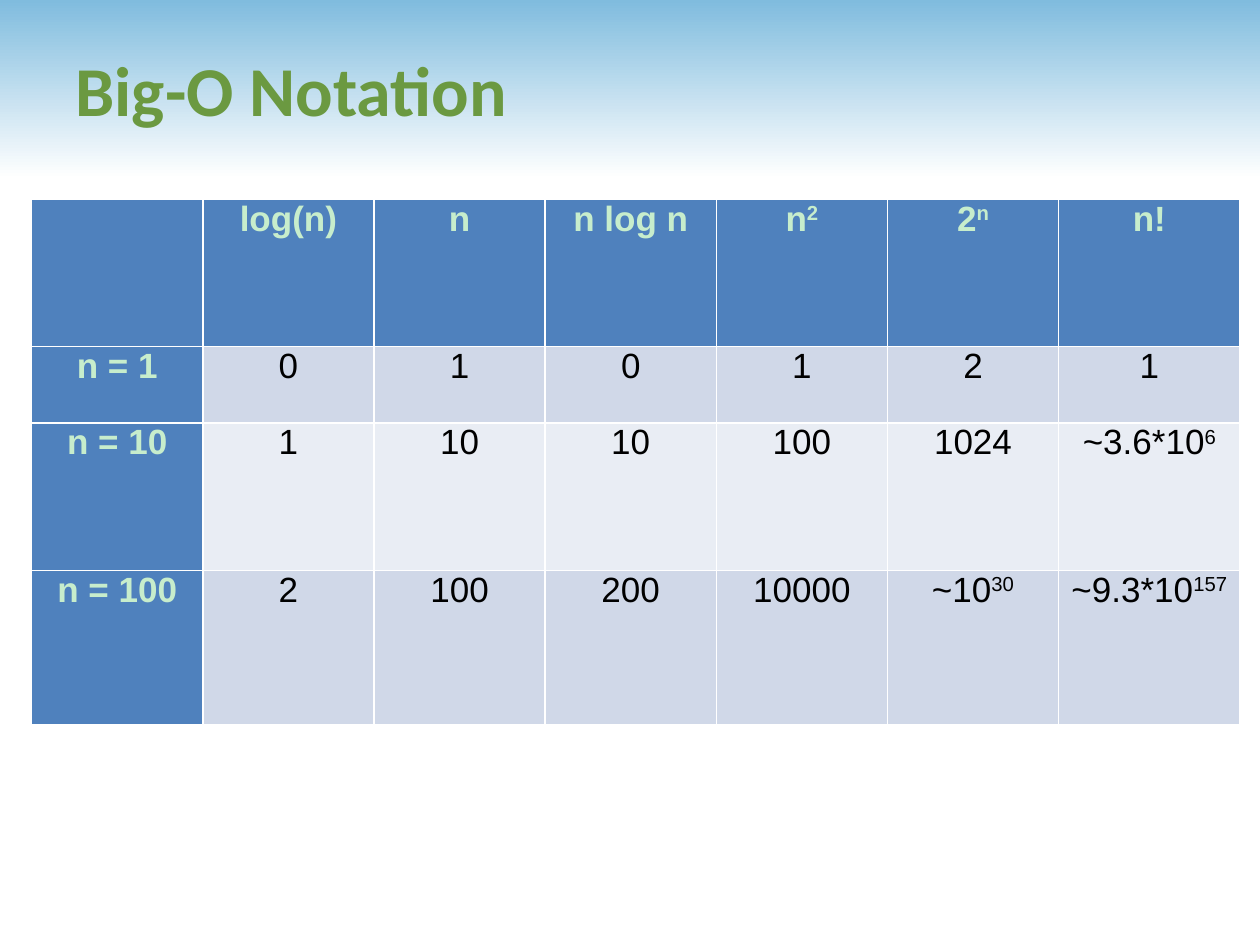
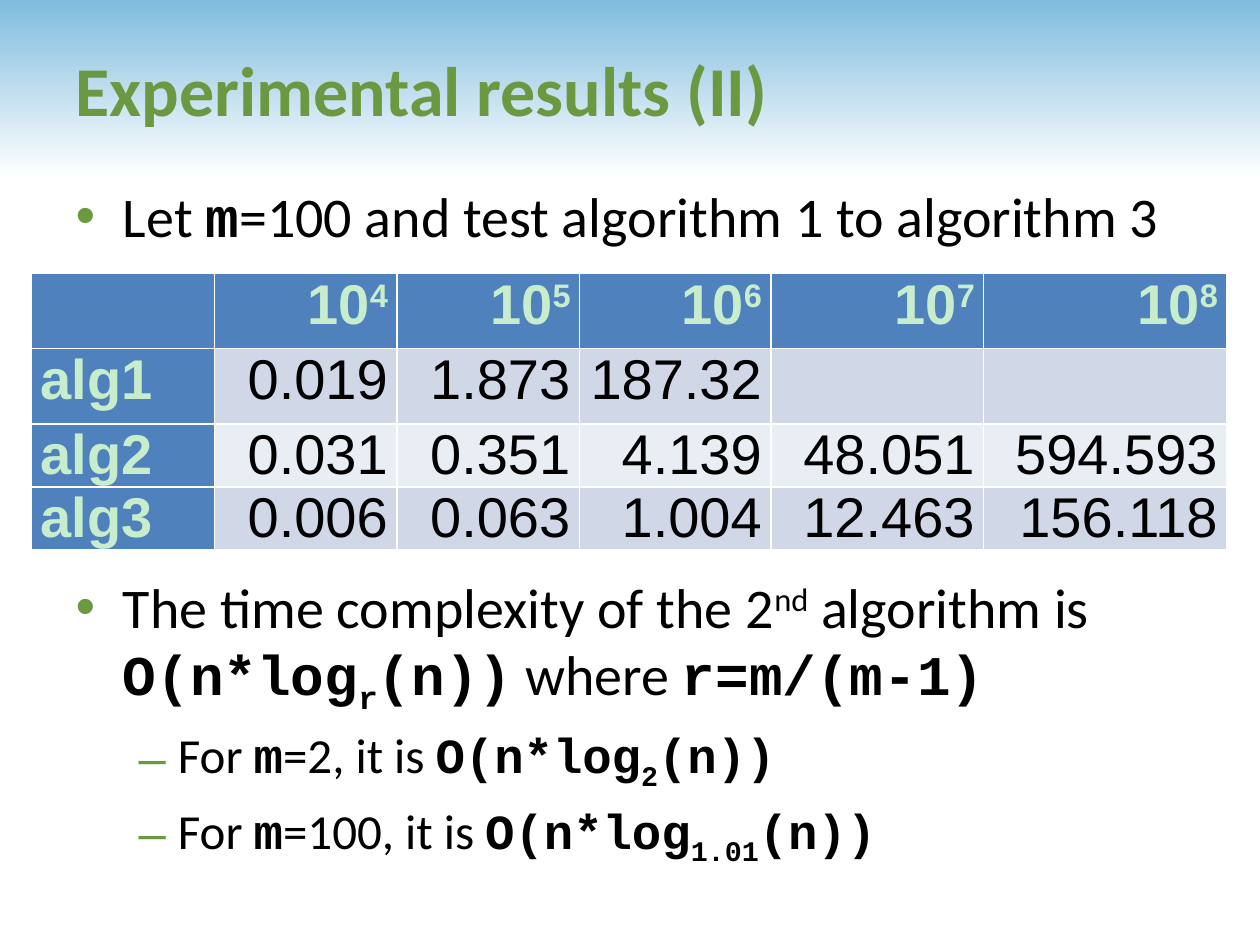
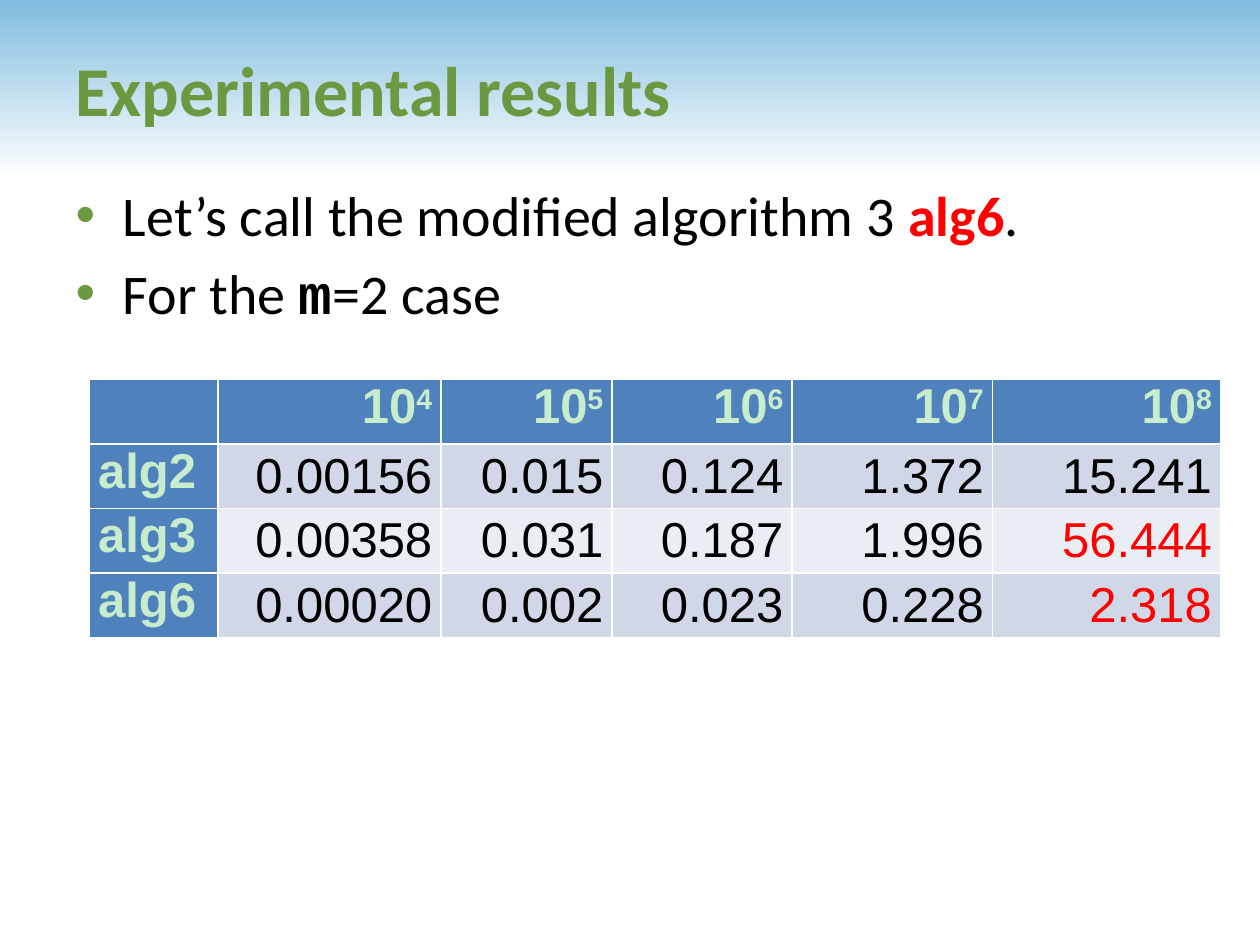
import dataclasses

import lxml.etree
import pptx
import pptx.dml.color
import pptx.enum.shapes
import pptx.enum.text
import pptx.oxml.ns
import pptx.util

Cm, Pt = pptx.util.Cm, pptx.util.Pt
RGB = pptx.dml.color.RGBColor.from_string
Align, Anchor = pptx.enum.text.PP_ALIGN, pptx.enum.text.MSO_ANCHOR


@dataclasses.dataclass(frozen=True)
class Theme:
    green: str = "6B9941"
    black: str = "000000"
    red: str = "FF0000"
    band_top: str = "80BCDE"
    band_bottom: str = "FFFFFF"
    header_fill: str = "4F81BD"
    header_text: str = "C7EDCC"
    row_fills: tuple = ("E9EDF4", "D0D8E8")
    text_font: str = "Calibri"
    table_font: str = "Arial"
    code_font: str = "Courier New"
    title_size: int = 40
    level_sizes: tuple = (32, 28)
    level_gaps: tuple = (6, 5)


THEME = Theme()
CODE = dict(font=THEME.code_font, bold=True)
SUB = dict(CODE, baseline=-25)
SUP = dict(baseline=30)
ALERT = dict(color=THEME.red, bold=True)


def write(paragraph, text, size, font=THEME.text_font, color=THEME.black, bold=False, baseline=0):
    run = paragraph.add_run()
    run.text = text
    run.font.size = Pt(size)
    run.font.name = font
    run.font.bold = bold
    run.font.color.rgb = RGB(color)
    if baseline:
        run._r.get_or_add_rPr().set("baseline", str(baseline * 1000))


POWERS = ["", "10^4", "10^5", "10^6", "10^7", "10^8"]
TABLE_GAP = 185  # points left free for the table between two bullets

# A bullet is (level, space before or None for the usual gap, runs);
# in a table cell "^" starts a superscript.
slides = [
    dict(
        title="Big-O Notation",
        bullets=[],
        left=0.64, top=4.02, size=20,
        columns=[3.45] * 6 + [3.66],
        heights=[2.97, 1.54, 2.97, 3.1],
        label_align=Align.CENTER, value_align=Align.CENTER, value_anchor=Anchor.TOP,
        alerts=[],
        rows=[
            ["", "log(n)", "n", "n log n", "n^2", "2^n", "n!"],
            ["n = 1", "0", "1", "0", "1", "2", "1"],
            ["n = 10", "1", "10", "10", "100", "1024", "~3.6*10^6"],
            ["n = 100", "2", "100", "200", "10000", "~10^30", "~9.3*10^157"],
        ],
    ),
    dict(
        title="Experimental results (II)",
        body_top=3.53, body_height=14.86,
        bullets=[
            (0, 0, [("Let ", {}), ("m", CODE), ("=100 and test algorithm 1 to algorithm 3", {})]),
            (0, TABLE_GAP, [
                ("The time complexity of the 2", {}), ("nd", SUP), (" algorithm is ", {}),
                ("O(n*log", CODE), ("r", SUB), ("(n))", CODE),
                (" where ", {}), ("r=m/(m-1)", CODE)]),
            (1, None, [("For ", {}), ("m", CODE), ("=2, it is ", {}),
                       ("O(n*log", CODE), ("2", SUB), ("(n))", CODE)]),
            (1, None, [("For ", {}), ("m", CODE), ("=100, it is ", {}),
                       ("O(n*log", CODE), ("1.01", SUB), ("(n))", CODE)]),
        ],
        left=0.64, top=5.51, size=32,
        columns=[3.68, 3.68, 3.68, 3.86, 4.29, 4.9],
        heights=[1.52, 1.52, 1.27, 1.27],
        label_align=Align.LEFT, value_align=Align.RIGHT, value_anchor=Anchor.TOP,
        alerts=[],
        rows=[
            POWERS,
            ["alg1", "0.019", "1.873", "187.32", "", ""],
            ["alg2", "0.031", "0.351", "4.139", "48.051", "594.593"],
            ["alg3", "0.006", "0.063", "1.004", "12.463", "156.118"],
        ],
    ),
    dict(
        title="Experimental results",
        body_top=3.51, body_height=11.43,
        bullets=[
            (0, 0, [("Let’s call the modified algorithm 3 ", {}), ("alg6", ALERT), (".", {})]),
            (0, None, [("For the ", {}), ("m", CODE), ("=2 case", {})]),
        ],
        left=1.8, top=7.65, size=28,
        columns=[2.59, 4.5, 3.45, 3.63, 4.04, 4.6],
        heights=[1.3] * 4,
        label_align=Align.LEFT, value_align=Align.RIGHT, value_anchor=Anchor.MIDDLE,
        alerts=["56.444", "2.318"],
        rows=[
            POWERS,
            ["alg2", "0.00156", "0.015", "0.124", "1.372", "15.241"],
            ["alg3", "0.00358", "0.031", "0.187", "1.996", "56.444"],
            ["alg6", "0.00020", "0.002", "0.023", "0.228", "2.318"],
        ],
    ),
]

deck = pptx.Presentation()
deck.slide_width, deck.slide_height = Cm(25.4), Cm(19.05)
with_body, title_only = deck.slide_layouts[1], deck.slide_layouts[5]

for content in slides:
    slide = deck.slides.add_slide(with_body if content["bullets"] else title_only)

    title = slide.shapes.title
    title.left, title.top, title.width, title.height = Cm(1.27), Cm(0.2), Cm(23.06), Cm(3.18)
    title.text_frame.auto_size = pptx.enum.text.MSO_AUTO_SIZE.NONE
    title.text_frame.vertical_anchor = Anchor.MIDDLE
    heading = title.text_frame.paragraphs[0]
    heading.alignment = Align.LEFT
    write(heading, content["title"], THEME.title_size, color=THEME.green, bold=True)

    if content["bullets"]:
        body = slide.placeholders[1]
        body.left, body.top = Cm(1.27), Cm(content["body_top"])
        body.width, body.height = Cm(23.06), Cm(content["body_height"])
        body.text_frame.auto_size = pptx.enum.text.MSO_AUTO_SIZE.NONE
        for number, (level, gap, runs) in enumerate(content["bullets"]):
            bullet = body.text_frame.add_paragraph() if number else body.text_frame.paragraphs[0]
            bullet.level = level
            bullet.space_before = Pt(THEME.level_gaps[level] if gap is None else gap)
            bullet_color = lxml.etree.SubElement(
                bullet._p.get_or_add_pPr(), pptx.oxml.ns.qn("a:buClr"))
            lxml.etree.SubElement(
                bullet_color, pptx.oxml.ns.qn("a:srgbClr"), val=THEME.green)
            for text, style in runs:
                write(bullet, text, THEME.level_sizes[level], **style)

    # The default table style draws the white grid and the thick rule under the header.
    rows, columns, heights = content["rows"], content["columns"], content["heights"]
    table = slide.shapes.add_table(
        len(rows), len(columns), Cm(content["left"]), Cm(content["top"]),
        Cm(sum(columns)), Cm(sum(heights))).table
    for column, width in zip(table.columns, columns):
        column.width = Cm(width)
    for row, height in zip(table.rows, heights):
        row.height = Cm(height)
    for r, values in enumerate(rows):
        for c, value in enumerate(values):
            is_header = r == 0 or c == 0
            cell = table.cell(r, c)
            cell.fill.solid()
            cell.fill.fore_color.rgb = RGB(THEME.header_fill if is_header else THEME.row_fills[r % 2])
            cell.margin_left = cell.margin_right = Cm(0.18)
            cell.margin_top = cell.margin_bottom = 0
            cell.vertical_anchor = Anchor.TOP if is_header else content["value_anchor"]
            entry = cell.text_frame.paragraphs[0]
            entry.alignment = content["value_align" if c else "label_align"]
            color = THEME.header_text if is_header else THEME.black
            if value in content["alerts"]:
                color = THEME.red
            base, _, exponent = value.partition("^")
            for text, baseline in ((base, 0), (exponent, 30)):
                if text:
                    write(entry, text, content["size"], font=THEME.table_font,
                          color=color, bold=is_header, baseline=baseline)

# The band is drawn once and moved to the master, behind everything else.
band = slide.shapes.add_shape(
    pptx.enum.shapes.MSO_SHAPE.PENTAGON, 0, 0, deck.slide_width, Cm(3.6))
band.adjustments[0] = 0
band.shadow.inherit = False
band.line.fill.background()
band.fill.gradient()
band.fill.gradient_angle = 270
for stop, position, color in zip(
        band.fill.gradient_stops, (0, 1), (THEME.band_top, THEME.band_bottom)):
    stop.position = position
    stop.color.rgb = RGB(color)
band.element.xpath(".//p:cNvPr")[0].set("id", "20")
deck.slide_master.shapes.element.insert(2, band.element)

deck.save("out.pptx")
